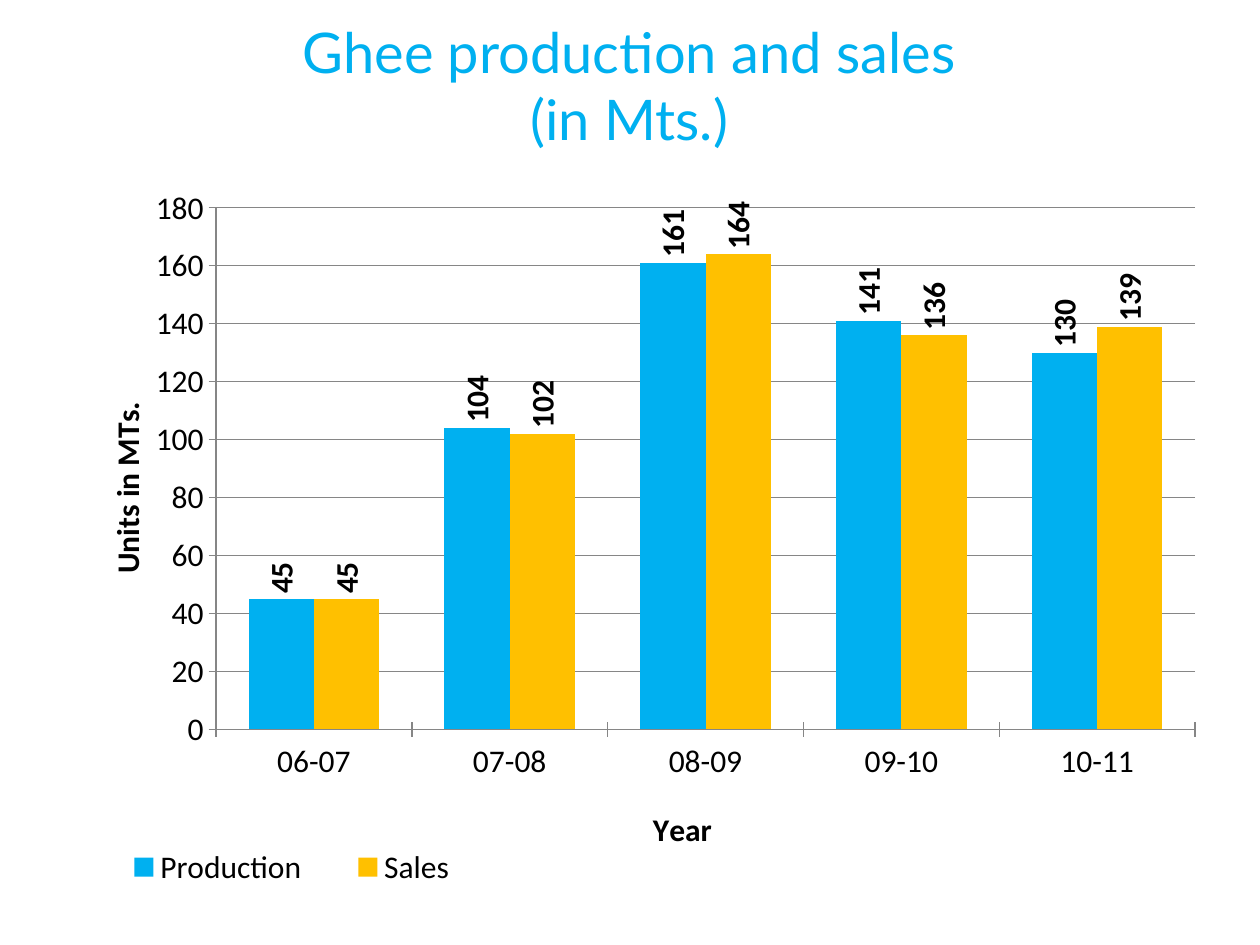
from lxml import etree
from pptx import Presentation
from pptx.chart.data import CategoryChartData
from pptx.dml.color import RGBColor
from pptx.enum.chart import XL_CHART_TYPE, XL_LABEL_POSITION, XL_LEGEND_POSITION, XL_TICK_MARK
from pptx.enum.text import MSO_ANCHOR, PP_ALIGN
from pptx.oxml.ns import qn
from pptx.util import Inches, Pt

COLUMNS = XL_CHART_TYPE.COLUMN_CLUSTERED
LABEL_ABOVE = XL_LABEL_POSITION.OUTSIDE_END
LEGEND_RIGHT = XL_LEGEND_POSITION.RIGHT
TICK_CROSS = XL_TICK_MARK.CROSS
CENTER, MIDDLE = PP_ALIGN.CENTER, MSO_ANCHOR.MIDDLE

# Content
COLORS = {"production": "00B0F0", "sales": "FFC000", "text": "000000", "line": "868686"}
TITLE_LINES = ["Ghee production and sales", "(in Mts.)"]
YEARS = ["06-07", "07-08", "08-09", "09-10", "10-11"]
SERIES = [
    ("Production", [45, 104, 161, 141, 130], "production"),
    ("Sales", [45, 102, 164, 136, 139], "sales"),
]
TITLE_AREA = (0.33, 0.08, 9.33, 1.18)
CHART_AREA = (0.42, 1.42, 9.25, 5.75)
UPWARD = "-5400000"


def color(name):
    return RGBColor.from_string(COLORS[name])


def style_font(font, size=18, name="Calibri", ink="text", bold=False):
    font.size, font.name, font.bold = Pt(size), name, bold
    font.color.rgb = color(ink)


def write(para, text, **style):
    span = para.add_run()
    span.text = text
    style_font(span.font, **style)


def set_layout(parent, index, **settings):
    """Place a chart part by fractions of the chart area."""
    for old in parent.findall(qn("c:layout")):
        parent.remove(old)
    layout = etree.Element(qn("c:layout"))
    manual = etree.SubElement(layout, qn("c:manualLayout"))
    for tag, value in settings.items():
        etree.SubElement(manual, qn(f"c:{tag}")).set("val", str(value))
    parent.insert(index, layout)


def format_axis(axis, title, x, y, rotation=None):
    style_font(axis.tick_labels.font)
    axis.major_tick_mark = TICK_CROSS
    axis.format.line.color.rgb = color("line")
    frame = axis.axis_title.text_frame
    write(frame.paragraphs[0], title, bold=True)
    if rotation:
        body = frame._txBody.find(qn("a:bodyPr"))
        body.set("rot", rotation)
        body.set("vert", "horz")
    set_layout(axis.axis_title._element, 1, xMode="edge", yMode="edge", x=x, y=y)


deck = Presentation()
deck.slide_width, deck.slide_height = Inches(10), Inches(7.5)
page = deck.slides.add_slide(deck.slide_layouts[5])

# Chart
data = CategoryChartData()
data.categories = YEARS
for name, values, _ in SERIES:
    data.add_series(name, values)
chart = page.shapes.add_chart(COLUMNS, *map(Inches, CHART_AREA), data).chart
chart.has_title = False
style_font(chart.font)

# Columns and their upright labels
plot = chart.plots[0]
plot.gap_width, plot.overlap = 100, 0
plot.vary_by_categories = False
for series, (_, _, fill) in zip(plot.series, SERIES):
    series.format.fill.solid()
    series.format.fill.fore_color.rgb = color(fill)
    labels = series.data_labels
    labels.show_value = True
    labels.position = LABEL_ABOVE
    style_font(labels.font, bold=True)
    body = labels._element.find(qn("c:txPr")).find(qn("a:bodyPr"))
    body.set("rot", UPWARD)
    body.set("vert", "horz")

# Axes
format_axis(chart.category_axis, "Year", 0.51, 0.86)
value_axis = chart.value_axis
format_axis(value_axis, "Units in MTs.", 0.04, 0.3, rotation=UPWARD)
value_axis.minimum_scale, value_axis.maximum_scale, value_axis.major_unit = 0, 180, 20
value_axis.has_major_gridlines = True
value_axis.major_gridlines.format.line.color.rgb = color("line")

# Legend and plot area
chart.has_legend = True
chart.legend.position = LEGEND_RIGHT
chart.legend.include_in_layout = False
style_font(chart.legend.font)
set_layout(chart.legend._element, 1, xMode="edge", yMode="edge", x=0.03, y=0.91, w=0.35, h=0.08)
plot_area = chart._chartSpace.find(qn("c:chart")).find(qn("c:plotArea"))
set_layout(plot_area, 0, layoutTarget="inner", xMode="edge", yMode="edge",
           x=0.14, y=0.04, w=0.84, h=0.72)

# Title
title = page.shapes.title
title.left, title.top, title.width, title.height = map(Inches, TITLE_AREA)
frame = title.text_frame
frame.word_wrap = True
frame.vertical_anchor = MIDDLE
for number, line in enumerate(TITLE_LINES):
    para = frame.add_paragraph() if number else frame.paragraphs[0]
    para.alignment = CENTER
    write(para, line, size=32, name="Lato", ink="production")

deck.save("out.pptx")
